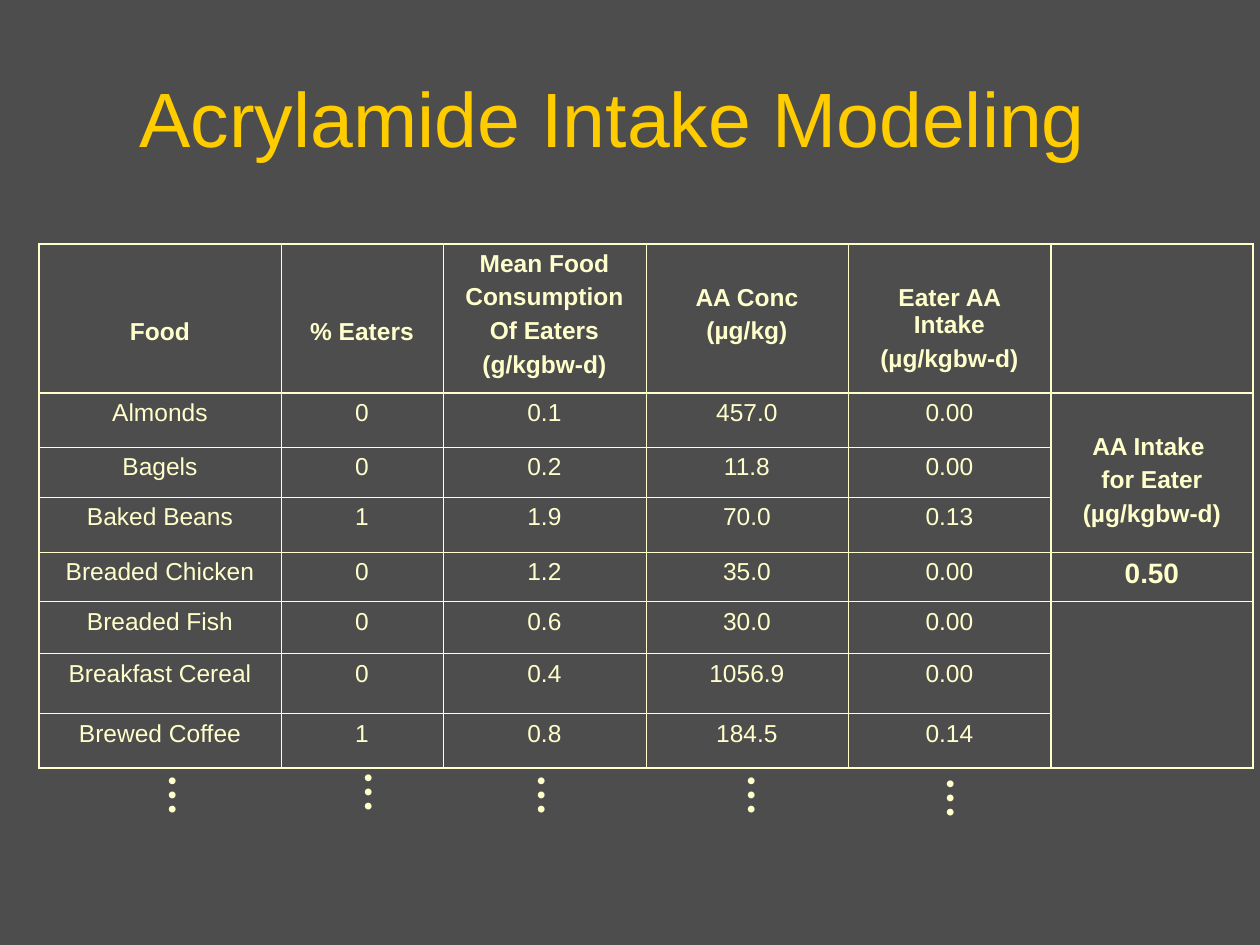
from lxml.etree import SubElement
from pptx import Presentation
from pptx.dml.color import RGBColor
from pptx.enum.text import MSO_ANCHOR as Anchor, MSO_AUTO_SIZE as AutoSize, PP_ALIGN as Align
from pptx.oxml.ns import qn
from pptx.util import Emu, Pt

PX = 914400 / 126
GREY, GOLD, CREAM = "4D4D4D", "FFCC00", "FFFFCC"


def px(length):
    return Emu(round(length * PX))


def color(code):
    return RGBColor.from_string(code)


class SlideBuilder:
    font = "Arial"
    dots_font = "Times New Roman"
    thin, outer, heavy = 0.45, 1.08, 1.47
    line_step = 34
    cell_margin = 6

    def __init__(self, deck):
        self.slide = deck.slides.add_slide(deck.slide_layouts[6])
        fill = self.slide.background.fill
        fill.solid()
        fill.fore_color.rgb = color(GREY)

    def set_text(self, frame, text, size, ink=CREAM, bold=False, font=None):
        for index, line in enumerate(text.split("\n")):
            para = frame.paragraphs[0] if index == 0 else frame.add_paragraph()
            para.alignment = Align.CENTER
            if index:
                para.space_before = Pt(3.5)
            para.font.name = font or self.font
            para.font.size = Pt(size)
            para.font.bold = bold
            para.font.color.rgb = color(ink)
            if line:
                para.add_run().text = line

    def text_box(self, left, top, width, height):
        return self.slide.shapes.add_textbox(px(left), px(top), px(width), px(height))

    def title(self, text):
        frame = self.text_box(84, 63, 1058, 106).text_frame
        frame.word_wrap = True
        frame.vertical_anchor = Anchor.BOTTOM
        self.set_text(frame, text, 44, GOLD)

    def vertical_dots(self, left, top):
        box = self.text_box(left, top, 67, 63)
        box.rotation = 270
        box.text_frame.auto_size = AutoSize.SHAPE_TO_FIT_TEXT
        self.set_text(box.text_frame, "…", 24, bold=True, font=self.dots_font)

    def border(self, cell, side, width):
        line = SubElement(cell._tc.get_or_add_tcPr(), qn(f"a:ln{side}"), w=str(Pt(width)))
        fill = SubElement(line, qn("a:solidFill"))
        SubElement(fill, qn("a:srgbClr"), val=CREAM)

    def borders(self, cell, row, column, across, down):
        self.border(cell, "L", across[column])
        self.border(cell, "R", across[column + 1])
        if not cell.is_spanned:
            height = cell.span_height if cell.is_merge_origin else 1
            self.border(cell, "T", down[row])
            self.border(cell, "B", down[row + height])

    def table(self, left, top, columns, rows, texts, merges, skipped_lines, sizes):
        table = self.slide.shapes.add_table(
            len(rows), len(columns), px(left), px(top), px(sum(columns)), px(sum(rows))
        ).table
        table.first_row = table.horz_banding = False
        for column, width in zip(table.columns, columns):
            column.width = px(width)
        for row, height in zip(table.rows, rows):
            row.height = px(height)
        last = len(columns) - 1
        for first_row, last_row in merges:
            table.cell(first_row, last).merge(table.cell(last_row, last))

        across = [self.outer] + [self.thin] * (last - 1) + [self.heavy, self.outer]
        down = [self.outer, self.heavy] + [self.thin] * (len(rows) - 2) + [self.outer]
        for row, values in enumerate(texts):
            for column, text in enumerate(values):
                cell = table.cell(row, column)
                self.borders(cell, row, column, across, down)
                cell.fill.background()
                skipped = skipped_lines.get((row, column), 0)
                cell.margin_top = px(self.cell_margin + skipped * self.line_step)
                bold = row == 0 or column == last
                self.set_text(cell.text_frame, text, sizes.get((row, column), 14), bold=bold)


def main():
    deck = Presentation()
    deck.slide_width, deck.slide_height = px(1260), px(945)
    page = SlideBuilder(deck)
    page.title("Acrylamide Intake Modeling")
    page.table(
        39, 244,
        columns=[242, 162, 203, 202, 203, 202],
        rows=[149, 54, 50, 55, 50, 52, 60, 54],
        texts=[
            ["Food", "% Eaters", "Mean Food\nConsumption\nOf Eaters\n(g/kgbw-d)",
             "AA Conc\n(µg/kg)", "Eater AA Intake\n(µg/kgbw-d)", ""],
            ["Almonds", "0", "0.1", "457.0", "0.00", "AA Intake \nfor Eater\n(µg/kgbw-d)"],
            ["Bagels", "0", "0.2", "11.8", "0.00", ""],
            ["Baked Beans", "1", "1.9", "70.0", "0.13", ""],
            ["Breaded Chicken", "0", "1.2", "35.0", "0.00", "0.50"],
            ["Breaded Fish", "0", "0.6", "30.0", "0.00", ""],
            ["Breakfast Cereal", "0", "0.4", "1056.9", "0.00", ""],
            ["Brewed Coffee", "1", "0.8", "184.5", "0.14", ""],
        ],
        merges=[(1, 3), (5, 7)],
        skipped_lines={(0, 0): 2, (0, 1): 2, (0, 3): 1, (0, 4): 1, (1, 5): 1},
        sizes={(4, 5): 16},
    )
    for left, top in [(125, 764), (321, 761), (494, 764), (704, 764), (903, 767)]:
        page.vertical_dots(left, top)
    deck.save("out.pptx")


if __name__ == "__main__":
    main()
